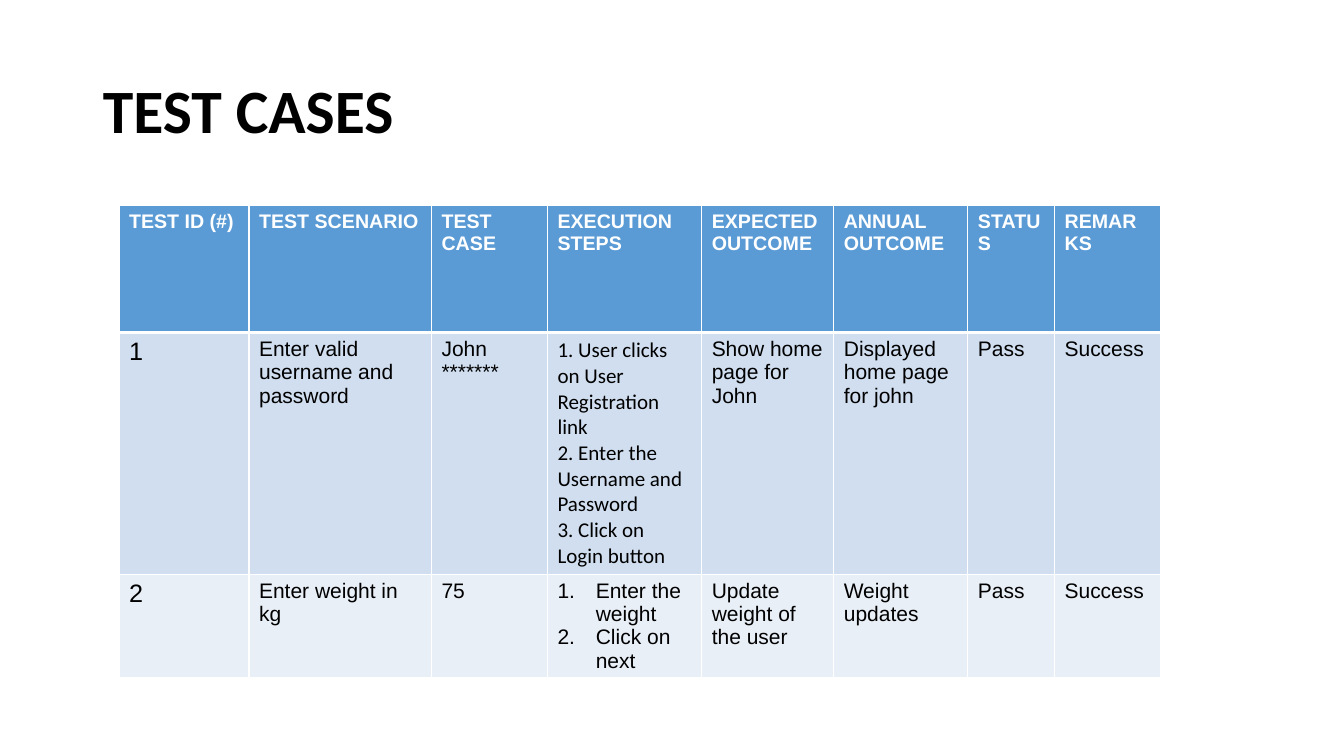
from dataclasses import dataclass

from lxml.etree import SubElement
from pptx import Presentation
from pptx.dml.color import RGBColor as Color
from pptx.enum.text import MSO_ANCHOR as Anchor, MSO_AUTO_SIZE as AutoSize, PP_ALIGN as Align
from pptx.oxml.ns import qn
from pptx.util import Inches, Pt


@dataclass(frozen=True)
class Theme:
    text: str = "000000"
    header_text: str = "FFFFFF"
    border: str = "FFFFFF"
    header_fill: str = "5B9BD5"
    row_fills: tuple = ("D0DEEF", "E9EFF7")
    title_font: str = "Calibri"
    body_font: str = "Arial"
    steps_font: str = "Calibri"
    title_size: int = 44
    header_size: int = 14
    id_size: int = 18
    body_size: int = 15
    thin: int = 1
    thick: int = 3


THEME = Theme()

COLUMN_WIDTHS = (1.29, 1.81, 1.15, 1.53, 1.31, 1.33, 0.86, 1.05)
ROW_HEIGHTS = (1.26, 1.33, 0.41)
HEADERS = ("TEST ID (#)", "TEST SCENARIO", "TEST CASE", "EXECUTION STEPS",
           "EXPECTED OUTCOME", "ANNUAL OUTCOME", "STATUS", "REMARKS")
TEST_CASES = (
    ("1", "Enter valid username and password", ("John", "*******"),
     ("1. User clicks on User Registration link",
      "2. Enter the Username and Password",
      "3. Click on Login button"),
     "Show home page for John", "Displayed home page for john", "Pass", "Success"),
    ("2", "Enter weight in kg", "75", ("Enter the weight", "Click on next"),
     "Update weight of the user", "Weight updates", "Pass", "Success"),
)
ID_COLUMN, STEPS_COLUMN = 0, 3


def add_span(para, text, size, font, color, bold=False):
    span = para.add_run()
    span.text = text
    span.font.size = Pt(size)
    span.font.name = font
    span.font.bold = bold
    span.font.color.rgb = Color.from_string(color)


def number_paragraph(para):
    """Give the paragraph an automatic number with a hanging indent."""
    properties = para._p.get_or_add_pPr()
    properties.set("marL", str(Inches(0.38)))
    properties.set("indent", str(Inches(-0.38)))
    color = SubElement(properties, qn("a:buClr"))
    SubElement(color, qn("a:srgbClr"), val=THEME.text)
    SubElement(properties, qn("a:buFont"), typeface=THEME.body_font)
    SubElement(properties, qn("a:buAutoNum"), type="arabicPeriod")


def style_cell(cell, fill, top, bottom):
    """Set the borders, with the given top and bottom widths, and then the fill."""
    properties = cell._tc.get_or_add_tcPr()
    widths = {"L": THEME.thin, "R": THEME.thin, "T": top, "B": bottom}
    for side, width in widths.items():
        line = SubElement(properties, qn(f"a:ln{side}"), w=str(Pt(width)))
        SubElement(SubElement(line, qn("a:solidFill")), qn("a:srgbClr"), val=THEME.border)
    cell.fill.solid()
    cell.fill.fore_color.rgb = Color.from_string(fill)


def fill_cell(cell, content, size, font, color, bold=False, numbered=False):
    lines = (content,) if isinstance(content, str) else content
    frame = cell.text_frame
    for index, text in enumerate(lines):
        para = frame.add_paragraph() if index else frame.paragraphs[0]
        if numbered:
            number_paragraph(para)
        add_span(para, text, size, font, color, bold)


def add_title(page, left, top, width, height):
    title = page.shapes.title
    title.left, title.top = Inches(left), Inches(top)
    title.width, title.height = Inches(width), Inches(height)
    frame = title.text_frame
    frame.word_wrap = True
    frame.auto_size = AutoSize.NONE
    frame.vertical_anchor = Anchor.MIDDLE
    para = frame.paragraphs[0]
    para.alignment = Align.LEFT
    para.line_spacing = 0.9
    add_span(para, "TEST CASES", THEME.title_size, THEME.title_font, THEME.text, bold=True)


def add_test_table(page, left, top):
    shape = page.shapes.add_table(
        len(ROW_HEIGHTS), len(COLUMN_WIDTHS), Inches(left), Inches(top),
        Inches(sum(COLUMN_WIDTHS)), Inches(sum(ROW_HEIGHTS)))
    table = shape.table
    for column, width in zip(table.columns, COLUMN_WIDTHS):
        column.width = Inches(width)
    for row, height in zip(table.rows, ROW_HEIGHTS):
        row.height = Inches(height)

    for column, text in enumerate(HEADERS):
        cell = table.cell(0, column)
        style_cell(cell, THEME.header_fill, THEME.thin, THEME.thick)
        fill_cell(cell, text, THEME.header_size, THEME.body_font, THEME.header_text, bold=True)

    for row, test_case in enumerate(TEST_CASES, start=1):
        for column, content in enumerate(test_case):
            cell = table.cell(row, column)
            is_steps = column == STEPS_COLUMN
            style_cell(cell, THEME.row_fills[row - 1],
                       THEME.thick if row == 1 else THEME.thin, THEME.thin)
            fill_cell(cell, content,
                      THEME.id_size if column == ID_COLUMN else THEME.body_size,
                      THEME.steps_font if is_steps and row == 1 else THEME.body_font,
                      THEME.text, numbered=is_steps and row == 2)


def main():
    deck = Presentation()
    deck.slide_width, deck.slide_height = Inches(13.33), Inches(7.5)
    page = deck.slides.add_slide(deck.slide_layouts[5])
    add_title(page, 0.92, 0.4, 11.5, 1.45)
    add_test_table(page, 1.18, 2.04)
    deck.save("out.pptx")


if __name__ == "__main__":
    main()
